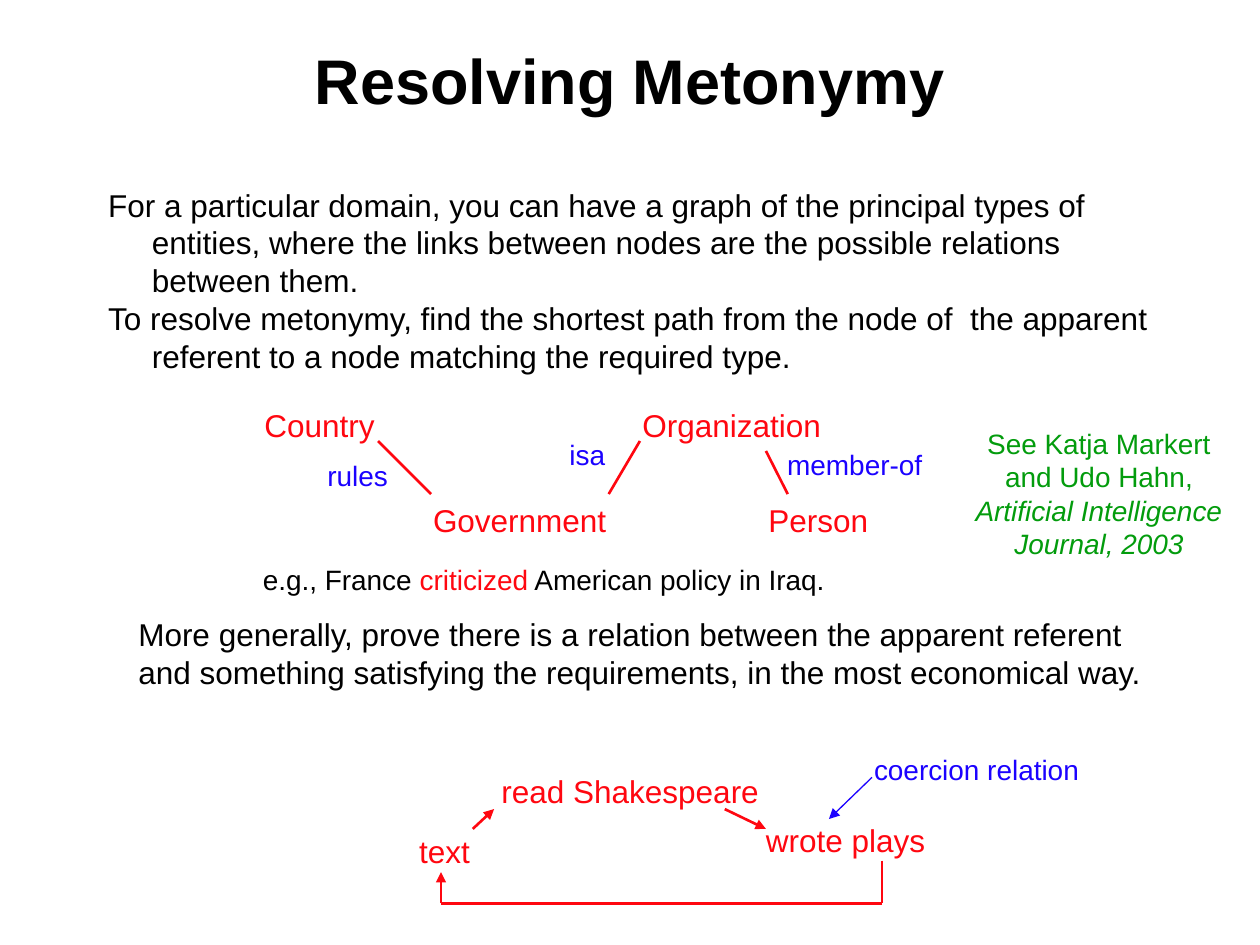
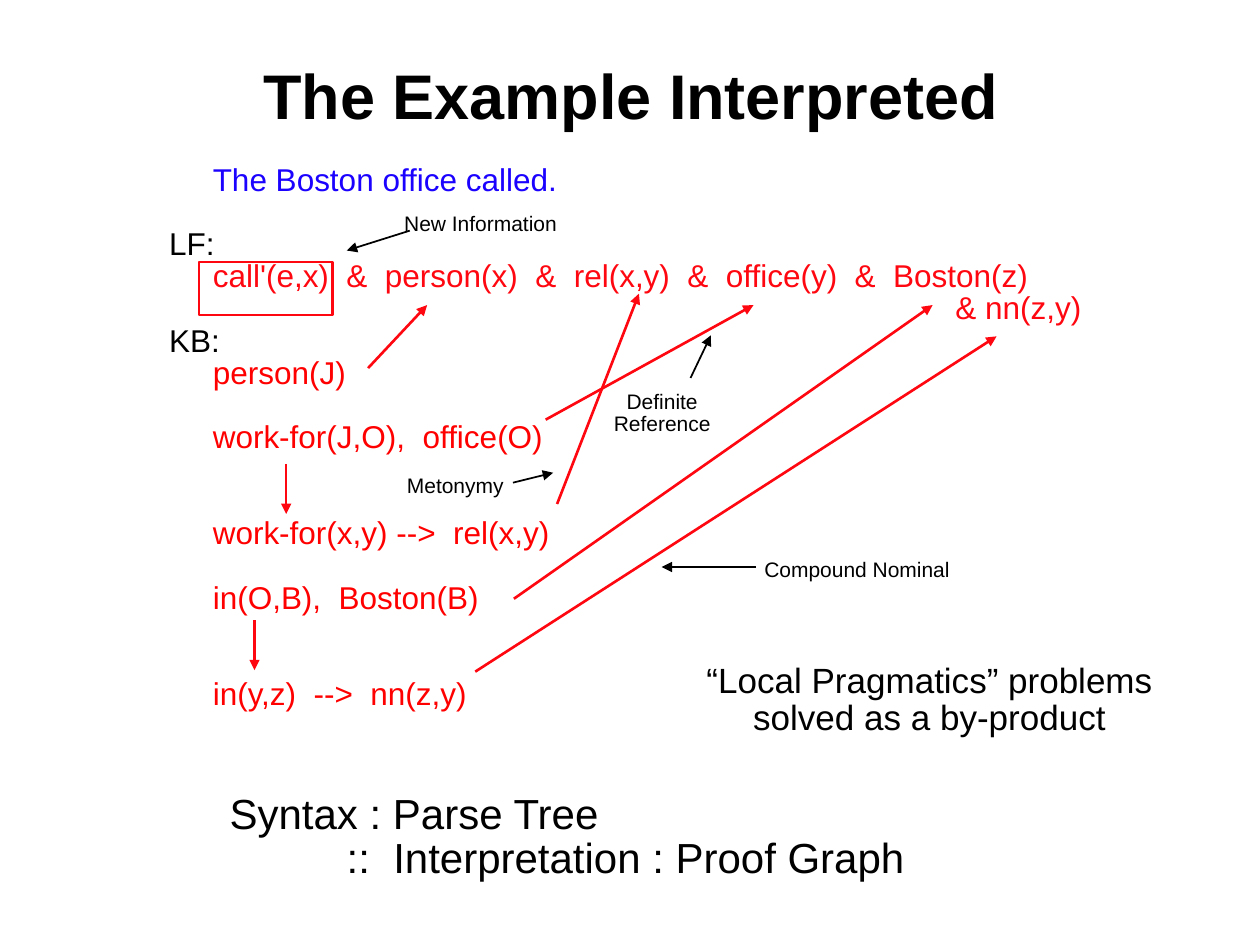
from lxml import etree
from pptx import Presentation
from pptx.dml.color import RGBColor
from pptx.enum.shapes import MSO_CONNECTOR, MSO_SHAPE
from pptx.enum.text import MSO_ANCHOR, MSO_AUTO_SIZE, PP_ALIGN
from pptx.oxml.ns import qn
from pptx.util import Cm, Pt

STRAIGHT = MSO_CONNECTOR.STRAIGHT
RECTANGLE = MSO_SHAPE.RECTANGLE
TOP, MIDDLE = MSO_ANCHOR.TOP, MSO_ANCHOR.MIDDLE
LEFT, CENTER = PP_ALIGN.LEFT, PP_ALIGN.CENTER

FONT = "Arial"
COLORS = {"black": "000000", "red": "FF0710", "formula": "FF0000",
          "blue": "1B02FF", "green": "039C0D"}
TITLE_AND_BODY = 1
WIDE_INSETS, NARROW_INSETS = (0.25, 0.13), (0.18, 0.08)
LINE_CM = 0.0423  # height of one text line per point of font size
STEP = 0.88       # indent of lists and formulas

# ---- Content: all places are left, top, width (height) in cm ----
METONYMY_TITLE = "Resolving Metonymy"
METONYMY_BODY = [
    "For a particular domain, you can have a graph of the principal types of "
    "entities, where the links between nodes are the possible relations between them.",
    "To resolve metonymy, find the shortest path from the node of  the apparent "
    "referent to a node matching the required type.",
]
ENTITIES = [
    ("Country", 5.08, 8.05, 2.72), ("Government", 8.48, 9.96, 3.99),
    ("Organization", 12.7, 8.05, 4.09), ("Person", 15.24, 9.96, 2.51),
    ("read Shakespeare", 9.86, 15.44, 5.69), ("text", 8.2, 16.64, 1.52),
    ("wrote plays", 15.19, 16.43, 3.71),
]
RELATIONS = [
    ("rules", 6.35, 9.12, 1.73), ("isa", 11.23, 8.69, 1.22),
    ("member-of", 15.62, 8.89, 3.23), ("coercion relation", 17.37, 15.04, 4.62),
]
ENTITY_LINKS = [
    (7.62, 8.89, 8.69, 9.96), (12.27, 9.96, 12.9, 8.89), (15.44, 9.09, 15.88, 9.96),
    (17.78, 17.35, 17.78, 18.21), (17.78, 18.21, 8.89, 18.21),
]
COERCION_ARROWS = [
    (14.61, 16.31, 15.44, 16.71), (8.89, 18.21, 8.89, 17.58), (9.53, 16.71, 9.96, 16.31),
]
COERCION_POINTER = (17.58, 15.67, 16.71, 16.51)
REFERENCE = ["See Katja Markert", "and Udo Hahn,",
             {"text": "Artificial Intelligence", "italic": True},
             {"text": "Journal, 2003", "italic": True}]
EXAMPLE = [{"runs": [("e.g., France ", "black"), ("criticized", "red"),
                     (" American policy in Iraq.", "black")]}]
GENERALIZATION = [
    "More generally, prove there is a relation between the apparent referent",
    "and something satisfying the requirements, in the most economical way.",
]

EXAMPLE_TITLE = "The Example Interpreted"
# text, colour, indent in cm, empty lines above
PROOF_LINES = [
    ("The Boston office called.", "blue", STEP, 0),
    ("LF:", "black", 0, 1),
    ("call'(e,x)  &  person(x)  &  rel(x,y)  &  office(y)  &  Boston(z)", "red", STEP, 0),
    ("& nn(z,y)", "red", 15.85, 0),
    ("KB:", "black", 0, 0),
    ("person(J)", "formula", STEP, 0),
    ("work-for(J,O),  office(O)", "formula", STEP, 1),
    ("work-for(x,y) -->  rel(x,y)", "formula", STEP, 2),
    ("in(O,B),  Boston(B)", "formula", STEP, 1),
    ("in(y,z)  -->  nn(z,y)", "formula", STEP, 2),
]
PROOF_ARROWS = [
    (7.42, 7.42, 8.61, 6.15), (11, 8.46, 15.19, 6.15), (5.77, 9.35, 5.77, 10.36),
    (5.13, 12.5, 5.13, 13.51), (11.23, 10.16, 12.88, 5.92),
    (10.36, 12.07, 18.8, 6.15), (9.58, 13.54, 20.09, 6.78),
]
NEW_INFORMATION_FRAME = (4.01, 5.28, 2.69, 1.07)
# lines, left, top, width, pointer
PROBLEMS = [
    (["New Information"], 7.9, 4.17, 3.58, (8.26, 4.65, 6.99, 5.05)),
    (["Definite", "Reference"], 12.12, 7.75, 2.46, (13.92, 7.62, 14.33, 6.76)),
    (["Metonymy"], 7.95, 9.45, 2.46, (10.34, 9.73, 11.15, 9.53)),
    (["Compound Nominal"], 15.16, 11.15, 4.24, (15.24, 11.43, 13.34, 11.43)),
]
BY_PRODUCT = ["“Local Pragmatics” problems", "solved as a by-product"]
ANALOGY = ["Syntax : Parse Tree",
           {"text": "::  Interpretation : Proof Graph", "indent": 2.36}]


# ---- Helpers ----
def rgb(color):
    return RGBColor.from_string(COLORS[color])


def write_text(shape, paragraphs, size=18, color="black", bold=False, align=LEFT,
               spacing=1.0, insets=WIDE_INSETS, anchor=TOP, wrap=False):
    """Fill a shape; a paragraph is a string or a dict with its own format."""
    frame = shape.text_frame
    frame.auto_size = MSO_AUTO_SIZE.NONE
    frame.word_wrap = wrap
    frame.vertical_anchor = anchor
    frame.margin_left = frame.margin_right = Cm(insets[0])
    frame.margin_top = frame.margin_bottom = Cm(insets[1])
    for index, item in enumerate(paragraphs):
        entry = {"text": item} if isinstance(item, str) else item
        paragraph = frame.paragraphs[0] if index == 0 else frame.add_paragraph()
        properties = paragraph._p.get_or_add_pPr()
        properties.set("marL", str(Cm(entry.get("indent", 0))))
        properties.set("indent", str(Cm(entry.get("first", 0))))
        etree.SubElement(properties, qn("a:buNone"))
        paragraph.alignment = align
        paragraph.line_spacing = spacing
        paragraph.space_before = Pt(entry.get("before", 0))
        paragraph.space_after = Pt(0)
        paragraph_color = entry.get("color", color)
        for text, run_color in entry.get("runs") or [(entry["text"], paragraph_color)]:
            run = paragraph.add_run()
            run.text = text
            run.font.name, run.font.size = FONT, Pt(size)
            run.font.bold, run.font.italic = bold, entry.get("italic", False)
            run.font.color.rgb = rgb(run_color)


def place(shape, left, top, width, height):
    shape.left, shape.top = Cm(left), Cm(top)
    shape.width, shape.height = Cm(width), Cm(height)


def add_text(slide, paragraphs, left, top, width, size=18, spacing=1.0,
             insets=WIDE_INSETS, **text_format):
    height = len(paragraphs) * size * spacing * LINE_CM + 2 * insets[1]
    box = slide.shapes.add_textbox(Cm(left), Cm(top), Cm(width), Cm(height))
    write_text(box, paragraphs, size=size, spacing=spacing, insets=insets, **text_format)


def add_line(slide, ends, color="red", weight=1.5, arrow=True):
    line = slide.shapes.add_connector(STRAIGHT, *(Cm(value) for value in ends))
    line.line.color.rgb = rgb(color)
    line.line.width = Pt(weight)
    if arrow:
        etree.SubElement(line.line._get_or_add_ln(), qn("a:tailEnd"), type="triangle")
    etree.SubElement(line._element.spPr, qn("a:effectLst"))


def add_slide(presentation, title, title_place, body_place):
    slide = presentation.slides.add_slide(presentation.slide_layouts[TITLE_AND_BODY])
    place(slide.shapes.title, *title_place)
    write_text(slide.shapes.title, [title], size=36, bold=True, align=CENTER,
               anchor=MIDDLE, wrap=True)
    body = slide.placeholders[1]
    place(body, *body_place)
    return slide, body


# ---- Slides ----
def build_metonymy(presentation):
    slide, body = add_slide(presentation, METONYMY_TITLE,
                            (1.9, 0, 21.59, 3.18), (1.93, 3.61, 21.6, 4.06))
    write_text(body, [{"text": text, "indent": STEP, "first": -STEP}
                      for text in METONYMY_BODY], wrap=True)
    # Entity graph
    for text, *position in ENTITIES:
        add_text(slide, [text], *position, color="red")
    for text, *position in RELATIONS:
        add_text(slide, [text], *position, size=16, color="blue")
    for ends in ENTITY_LINKS:
        add_line(slide, ends, arrow=False)
    for ends in COERCION_ARROWS:
        add_line(slide, ends)
    add_line(slide, COERCION_POINTER, color="blue", weight=0.75)
    # Remarks
    add_text(slide, REFERENCE, 19.41, 8.46, 5.49, size=16, color="green", align=CENTER)
    add_text(slide, EXAMPLE, 5.05, 11.2, 11.86, size=16)
    add_text(slide, GENERALIZATION, 2.54, 12.27, 20.75)


def build_example(presentation):
    slide, body = add_slide(presentation, EXAMPLE_TITLE,
                            (4.78, 1.07, 15.88, 1.68), (3.23, 3.26, 18.77, 11.27))
    # Logical form and knowledge base
    line_height = 18.36
    write_text(body, [{"text": text, "color": color, "indent": indent,
                       "before": empty_lines * line_height}
                      for text, color, indent, empty_lines in PROOF_LINES],
               spacing=0.85, insets=NARROW_INSETS)
    for ends in PROOF_ARROWS:
        add_line(slide, ends)
    frame = slide.shapes.add_shape(RECTANGLE, *(Cm(v) for v in NEW_INFORMATION_FRAME))
    frame.shadow.inherit = False
    frame.fill.background()
    frame.line.color.rgb = rgb("red")
    frame.line.width = Pt(1.5)
    # Problems and their pointers
    for lines, left, top, width, pointer in PROBLEMS:
        add_text(slide, lines, left, top, width, size=12, spacing=0.9, align=CENTER)
        add_line(slide, pointer, color="black", weight=1)
    # Conclusions
    add_text(slide, BY_PRODUCT, 13.89, 13.23, 9.7, size=20, spacing=0.9, align=CENTER)
    add_text(slide, ANALOGY, 4.45, 15.93, 13.94, size=24, spacing=0.87,
             insets=NARROW_INSETS)


def main():
    presentation = Presentation()
    presentation.slide_width, presentation.slide_height = Cm(25.4), Cm(19.05)
    build_metonymy(presentation)
    build_example(presentation)
    presentation.save("out.pptx")


if __name__ == "__main__":
    main()
